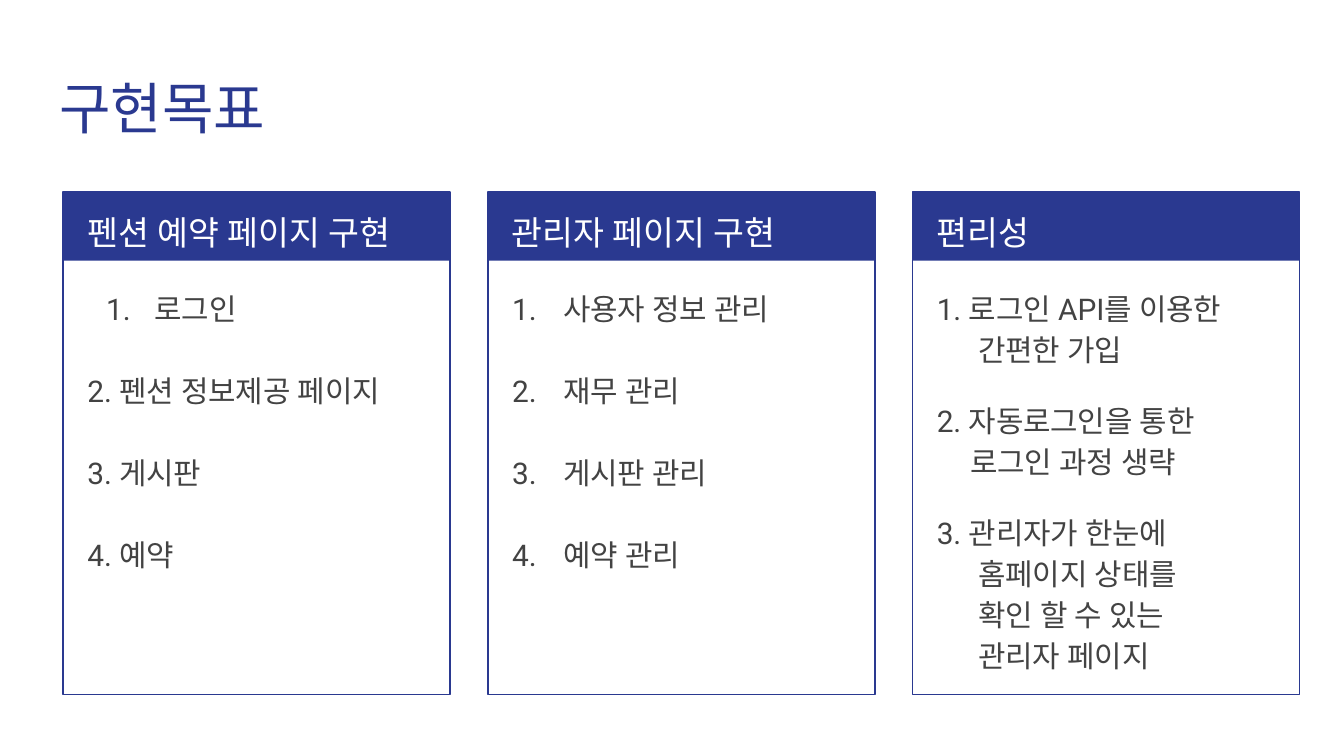
from dataclasses import dataclass

import pptx
import pptx.dml.color
import pptx.enum.shapes
import pptx.enum.text
import pptx.oxml.ns
import pptx.util
from lxml import etree

SLIDE_W = 10
SLIDE_H = SLIDE_W * 9 / 16
COLUMN_LEFT, COLUMN_TOP = 0.47, 1.43
COLUMN_PITCH, COLUMN_W, COLUMN_H = 3.16, 2.88, 3.74
BAND_H = 0.51
TEXT_INSET = 0.08
NAVY, GREY, WHITE = "2A3990", "434343", "FFFFFF"
FONT = "Roboto"
BLANK_LINE = 22  # points between items in the short lists


@dataclass
class Item:
    text: str
    left: float = 0
    first: float = 0
    before: float = BLANK_LINE
    numbered: bool = False


@dataclass
class Column:
    heading: str
    items: list[Item]
    placeholder: int


def numbered(text: str) -> Item:
    return Item(text, 0.38, -0.38, numbered=True)


COLUMNS = [
    Column("펜션 예약 페이지 구현", [
        Item("로그인", 0.5, -0.36, numbered=True),
        Item("2. 펜션 정보제공 페이지"),
        Item("3. 게시판"),
        Item("4. 예약"),
    ], 1),
    Column("관리자 페이지 구현", [
        numbered(text) for text in ("사용자 정보 관리", "재무 관리", "게시판 관리", "예약 관리")
    ], 2),
    Column("편리성", [
        Item("1. 로그인 API를 이용한"),
        Item("간편한 가입", 0.31, before=0),
        Item("2. 자동로그인을 통한\v로그인 과정 생략", 0.25, -0.25, 16),
        Item("3. 관리자가 한눈에\v홈페이지 상태를\v확인 할 수 있는\v관리자 페이지", 0.31, -0.31, 16),
    ], 4),
]


def rgb(color: str) -> pptx.dml.color.RGBColor:
    return pptx.dml.color.RGBColor.from_string(color)


def place(shape, left: float, top: float, width: float, height: float) -> None:
    shape.left, shape.top, shape.width, shape.height = (
        pptx.util.Inches(length) for length in (left, top, width, height))


def prepare_frame(shape):
    frame = shape.text_frame
    frame.word_wrap = True
    frame.auto_size = pptx.enum.text.MSO_AUTO_SIZE.NONE
    frame.vertical_anchor = pptx.enum.text.MSO_ANCHOR.TOP
    frame.margin_left = frame.margin_right = pptx.util.Inches(0.1)
    frame.margin_top = frame.margin_bottom = pptx.util.Inches(0.1)
    return frame


def style(paragraph, size: float, color: str, line_spacing: float = 1.15) -> None:
    paragraph.alignment = pptx.enum.text.PP_ALIGN.LEFT
    paragraph.line_spacing = line_spacing
    font = paragraph.font
    font.name, font.size, font.bold = FONT, pptx.util.Pt(size), False
    font.color.rgb = rgb(color)
    qn = pptx.oxml.ns.qn
    defaults = paragraph._p.pPr.find(qn("a:defRPr"))
    etree.SubElement(defaults, qn("a:ea"), typeface=FONT)


def set_indent_and_bullet(paragraph, item: Item) -> None:
    properties = paragraph._p.get_or_add_pPr()
    properties.set("marL", str(pptx.util.Inches(item.left)))
    properties.set("indent", str(pptx.util.Inches(item.first)))
    qn = pptx.oxml.ns.qn
    if item.numbered:
        bullet_color = etree.SubElement(properties, qn("a:buClr"))
        etree.SubElement(bullet_color, qn("a:srgbClr"), val=GREY)
        etree.SubElement(properties, qn("a:buFont"), typeface=FONT)
        etree.SubElement(properties, qn("a:buAutoNum"), type="arabicPeriod")
    else:
        etree.SubElement(properties, qn("a:buNone"))


def draw_rectangle(slide, left: float, height: float, fill: str = "", line: str = "") -> None:
    rectangle = slide.shapes.add_shape(pptx.enum.shapes.MSO_SHAPE.RECTANGLE, 0, 0, 0, 0)
    place(rectangle, left, COLUMN_TOP, COLUMN_W, height)
    rectangle.shadow.inherit = False
    if fill:
        rectangle.fill.solid()
        rectangle.fill.fore_color.rgb = rgb(fill)
    else:
        rectangle.fill.background()
    if line:
        rectangle.line.color.rgb = rgb(line)
        rectangle.line.width = pptx.util.Pt(0.75)
    else:
        rectangle.line.fill.background()


def fill_list(placeholder, left: float, items: list[Item]) -> None:
    place(placeholder, left, 2.02, 2.71, 3.06)
    frame = prepare_frame(placeholder)
    for number, item in enumerate(items):
        paragraph = frame.add_paragraph() if number else frame.paragraphs[0]
        paragraph.text = item.text
        set_indent_and_bullet(paragraph, item)
        paragraph.space_before = pptx.util.Pt(item.before if number else 0)
        paragraph.space_after = pptx.util.Pt(0)
        style(paragraph, 16, GREY)


def draw_column(slide, left: float, column: Column) -> None:
    draw_rectangle(slide, left, BAND_H, fill=NAVY)
    draw_rectangle(slide, left, COLUMN_H, line=NAVY)
    heading = slide.shapes.add_textbox(0, 0, 0, 0)
    place(heading, left + TEXT_INSET, COLUMN_TOP, 2.73, 0.5)
    paragraph = prepare_frame(heading).paragraphs[0]
    paragraph.text = column.heading
    style(paragraph, 18, WHITE)
    fill_list(slide.placeholders[column.placeholder], left + TEXT_INSET, column.items)


def main() -> None:
    deck = pptx.Presentation()
    deck.slide_width = pptx.util.Inches(SLIDE_W)
    deck.slide_height = pptx.util.Inches(SLIDE_H)
    slide = deck.slides.add_slide(deck.slide_layouts.get_by_name("Comparison"))

    title = slide.shapes.title
    place(title, 0.34, 0.45, 9.32, 0.66)
    paragraph = prepare_frame(title).paragraphs[0]
    paragraph.text = "구현목표"
    style(paragraph, 30, NAVY, 1)

    for number, column in enumerate(COLUMNS):
        draw_column(slide, COLUMN_LEFT + number * COLUMN_PITCH, column)

    for placeholder in list(slide.placeholders):
        if not placeholder.text_frame.text:
            placeholder.element.getparent().remove(placeholder.element)
    deck.save("out.pptx")


if __name__ == "__main__":
    main()
